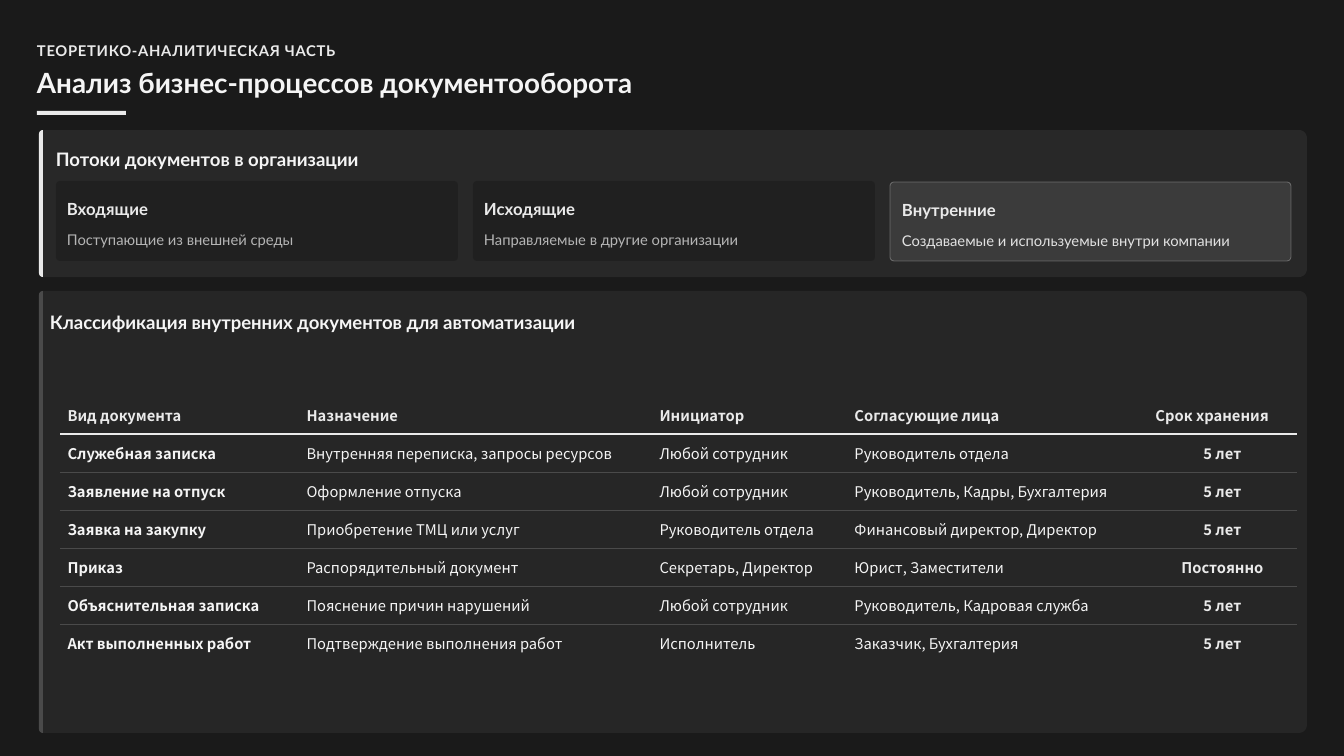
import math
from dataclasses import dataclass
from typing import Optional

from lxml import etree
from pptx import Presentation
from pptx import util as u
from pptx.dml.color import RGBColor
from pptx.enum import shapes, text
from pptx.oxml.ns import qn

PX = 12095  # EMU in one px
LIGHT, WHITE, GREY, DARK = "EAEAEA", "F5F5F5", "4A4A4A", "1A1A1A"
LATO, NOTO = "Lato", "Noto Sans CJK SC"
NO_STYLE = "{2D5ABB26-0587-4C30-8999-92F81FD0307C}"


@dataclass
class Box:
    left: int
    top: int
    width: int
    height: int

    def emu(self) -> list[int]:
        return [v * PX for v in (self.left, self.top, self.width, self.height)]


@dataclass
class Style:
    size: float
    color: str = WHITE
    bold: bool = True
    font: str = LATO
    spacing: Optional[float] = None
    opacity: int = 100


@dataclass
class Panel:
    box: Box
    fill: str
    opacity: int
    stripe: str
    heading: str
    heading_box: Box


@dataclass
class Card:
    title: str
    detail: str
    highlighted: bool = False


HEADING = Style(17.7)
PANELS = [
    Panel(Box(39, 130, 1268, 147), GREY, 30, LIGHT,
          "Потоки документов в организации", Box(56, 144, 1246, 26)),
    Panel(Box(39, 291, 1268, 442), "333333", 50, GREY,
          "Классификация внутренних документов для автоматизации", Box(50, 307, 1246, 26)),
]
CARDS = [
    Card("Входящие", "Поступающие из внешней среды"),
    Card("Исходящие", "Направляемые в другие организации"),
    Card("Внутренние", "Создаваемые и используемые внутри компании", True),
]
COLUMNS = [239, 353, 195, 301, 149]
ROW_HEIGHT = 38
ROWS = [
    ("Вид документа", "Назначение", "Инициатор", "Согласующие лица", "Срок хранения"),
    ("Служебная записка", "Внутренняя переписка, запросы ресурсов", "Любой сотрудник",
     "Руководитель отдела", "5 лет"),
    ("Заявление на отпуск", "Оформление отпуска", "Любой сотрудник",
     "Руководитель, Кадры, Бухгалтерия", "5 лет"),
    ("Заявка на закупку", "Приобретение ТМЦ или услуг", "Руководитель отдела",
     "Финансовый директор, Директор", "5 лет"),
    ("Приказ", "Распорядительный документ", "Секретарь, Директор",
     "Юрист, Заместители", "Постоянно"),
    ("Объяснительная записка", "Пояснение причин нарушений", "Любой сотрудник",
     "Руководитель, Кадровая служба", "5 лет"),
    ("Акт выполненных работ", "Подтверждение выполнения работ", "Исполнитель",
     "Заказчик, Бухгалтерия", "5 лет"),
]


def paint(fill, color: str, opacity: int = 100) -> None:
    """Solid colour with opacity in percent."""
    fill.solid()
    fill.fore_color.rgb = RGBColor.from_string(color)
    if opacity < 100:
        # The private colour element is the only place for transparency
        rgb = fill._xPr.find(qn("a:solidFill")).find(qn("a:srgbClr"))
        etree.SubElement(rgb, qn("a:alpha"), val=str(opacity * 1000))


def write(frame, content: str, style: Style):
    paragraph = frame.paragraphs[0]
    paragraph.text = content
    font = paragraph.font
    font.name, font.size, font.bold = style.font, u.Pt(style.size), style.bold
    paint(font.fill, style.color, style.opacity)
    if style.spacing:
        paragraph.line_spacing = style.spacing
    return paragraph


def fit_frame(frame) -> None:
    frame.word_wrap = True
    frame.auto_size = text.MSO_AUTO_SIZE.NONE
    frame.vertical_anchor = text.MSO_ANCHOR.MIDDLE
    frame.margin_left = frame.margin_right = frame.margin_top = frame.margin_bottom = 0


def add_text(slide, box: Box, content: str, style: Style):
    frame = slide.shapes.add_textbox(*box.emu()).text_frame
    fit_frame(frame)
    return write(frame, content, style)


def finish(shape, color: str, opacity: int = 100) -> None:
    shape.shadow.inherit = False
    paint(shape.fill, color, opacity)
    shape.line.fill.background()


def add_rounded(slide, box: Box, left_radius: int, right_radius: int):
    """Outline whose left and right corners have their own radii."""
    right, bottom = box.left + box.width, box.top + box.height
    corners = [
        (box.left + left_radius, box.top + left_radius, left_radius, 180),
        (right - right_radius, box.top + right_radius, right_radius, 270),
        (right - right_radius, bottom - right_radius, right_radius, 0),
        (box.left + left_radius, bottom - left_radius, left_radius, 90),
    ]
    points = [
        (round((x + radius * math.cos(math.radians(start + turn))) * PX),
         round((y + radius * math.sin(math.radians(start + turn))) * PX))
        for x, y, radius, start in corners
        for turn in (range(0, 91, 15) if radius else (0,))
    ]
    builder = slide.shapes.build_freeform(*points[0])
    builder.add_line_segments(points[1:], close=True)
    return builder.convert_to_shape()


def add_panel(slide, panel: Panel) -> None:
    box = panel.box
    finish(add_rounded(slide, box, 4, 8), panel.fill, panel.opacity)
    finish(add_rounded(slide, Box(box.left, box.top, 4, box.height), 4, 0), panel.stripe)
    add_text(slide, panel.heading_box, panel.heading, Style(17.7, spacing=1.2))


def add_card(slide, card: Card, left: int) -> None:
    box = Box(left, 182, 401, 79) if card.highlighted else Box(left, 181, 402, 80)
    shape = slide.shapes.add_shape(shapes.MSO_SHAPE.ROUNDED_RECTANGLE, *box.emu())
    shape.adjustments[0] = 0.05
    if card.highlighted:
        finish(shape, LIGHT, 10)
        paint(shape.line.fill, LIGHT, 30)
        shape.line.width = u.Pt(0.8)
    else:
        finish(shape, DARK, 50)
    inner = left + (12 if card.highlighted else 11)
    add_text(slide, Box(inner, box.top + 12, 388, 26), card.title,
             Style(15.9, LIGHT, spacing=1.3))
    add_text(slide, Box(inner, box.top + 45, 388, 22), card.detail,
             Style(14.1, bold=False, spacing=1.3, opacity=90 if card.highlighted else 70))


def add_border(cell, side: str, color: str, points: float) -> None:
    line = etree.Element(qn(f"a:{side}"), w=str(u.Pt(points)))
    fill = etree.SubElement(line, qn("a:solidFill"))
    etree.SubElement(fill, qn("a:srgbClr"), val=color)
    properties = cell._tc.get_or_add_tcPr()
    position = len(properties.findall(qn("a:lnT")))
    properties.insert(position, line)


def add_document_table(slide) -> None:
    box = Box(60, 396, sum(COLUMNS), ROW_HEIGHT * len(ROWS))
    table = slide.shapes.add_table(len(ROWS), len(COLUMNS), *box.emu()).table
    table.first_row = table.horz_banding = False
    table._tbl.tblPr.find(qn("a:tableStyleId")).text = NO_STYLE
    for column, width in zip(table.columns, COLUMNS):
        column.width = width * PX
    last_row, last_column = len(ROWS) - 1, len(COLUMNS) - 1
    for i, row in enumerate(ROWS):
        table.rows[i].height = ROW_HEIGHT * PX
        for j, content in enumerate(row):
            cell = table.cell(i, j)
            cell.fill.background()
            cell.vertical_anchor = text.MSO_ANCHOR.MIDDLE
            color = LIGHT if i == 0 or j == last_column else WHITE
            bold = i == 0 or j in (0, last_column)
            paragraph = write(cell.text_frame, content, Style(14, color, bold, NOTO))
            if i and j == last_column:
                paragraph.alignment = text.PP_ALIGN.CENTER
            # Each rule belongs to both of the rows it parts
            if i:
                add_border(cell, "lnT", *((LIGHT, 1.6) if i == 1 else (GREY, 0.8)))
            if i < last_row:
                add_border(cell, "lnB", *((LIGHT, 1.6) if i == 0 else (GREY, 0.8)))


def main() -> None:
    presentation = Presentation()
    presentation.slide_width, presentation.slide_height = 1344 * PX, 756 * PX
    slide = presentation.slides.add_slide(presentation.slide_layouts[5])
    paint(slide.background.fill, DARK)

    # Header
    eyebrow = add_text(slide, Box(37, 37, 1277, 22), "ТЕОРЕТИКО-АНАЛИТИЧЕСКАЯ ЧАСТЬ",
                       Style(14.1, LIGHT, spacing=1.3))
    eyebrow.font._element.set("spc", "70")
    title = slide.shapes.title
    title.left, title.top, title.width, title.height = Box(37, 66, 1284, 33).emu()
    fit_frame(title.text_frame)
    write(title.text_frame, "Анализ бизнес-процессов документооборота",
          Style(26.5)).alignment = text.PP_ALIGN.LEFT
    rule = slide.shapes.add_shape(shapes.MSO_SHAPE.RECTANGLE, *Box(37, 111, 89, 4).emu())
    finish(rule, LIGHT)

    # Panels, flow cards and the table of documents
    for panel in PANELS:
        add_panel(slide, panel)
    for i, card in enumerate(CARDS):
        add_card(slide, card, 56 + 417 * i)
    add_document_table(slide)
    presentation.save("out.pptx")


if __name__ == "__main__":
    main()
